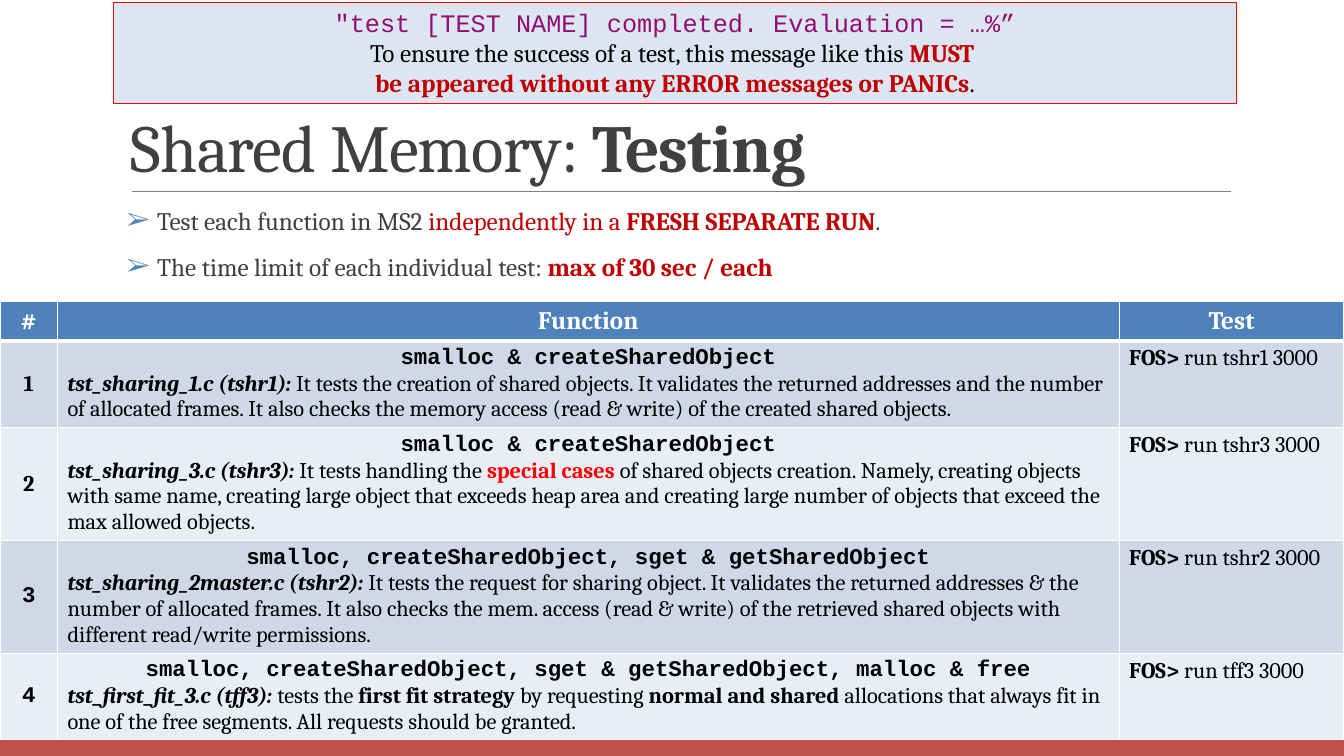
from typing import NamedTuple

from lxml.etree import SubElement
from pptx import Presentation
from pptx.dml.color import RGBColor
from pptx.enum.shapes import MSO_CONNECTOR, MSO_SHAPE
from pptx.enum.text import MSO_ANCHOR, MSO_AUTO_SIZE, PP_ALIGN
from pptx.oxml.ns import qn
from pptx.util import Inches, Pt

COLORS = {
    "black": "000000", "white": "FFFFFF", "gray": "404040", "rule": "808080",
    "blue": "4F81BD", "footer": "C0504D", "dark_red": "C00000", "red": "FF0000",
    "purple": "930D72", "notice": "DCE6F2", "odd_row": "D0D8E8", "even_row": "E9EDF4",
}
SERIF, MONO = "Cambria", "Courier New"


class Span(NamedTuple):
    text: str
    color: str = "black"
    bold: bool = False
    italic: bool = False
    font: str = SERIF


class Test(NamedTuple):
    functions: str
    source: str
    details: list[Span]
    command: str
    height: float
    number_font: str = SERIF


TESTS = [
    Test("smalloc & createSharedObject", "tst_sharing_1.c (tshr1): ",
         [Span("It tests the creation of shared objects. It validates the returned addresses and "
               "the number of allocated frames. It also checks the memory access (read & write) "
               "of the created shared objects.")],
         "run tshr1 3000", 0.86),
    Test("smalloc & createSharedObject", "tst_sharing_3.c (tshr3): ",
         [Span("It tests handling the "),
          Span("special cases ", "red", bold=True),
          Span("of shared objects creation. Namely, creating objects with same name, creating "
               "large object that exceeds heap area and creating large number of objects that "
               "exceed the max allowed objects.")],
         "run tshr3 3000", 1.12),
    Test("smalloc, createSharedObject, sget & getSharedObject",
         "tst_sharing_2master.c (tshr2): ",
         [Span("It tests the request for sharing object. It validates the returned addresses & "
               "the number of allocated frames. It also checks the mem. access (read & write) of "
               "the retrieved shared objects with different read/write permissions.")],
         "run tshr2 3000", 1.12, MONO),
    Test("smalloc, createSharedObject, sget & getSharedObject, malloc & free",
         "tst_first_fit_3.c (tff3): ",
         [Span("tests the "),
          Span("first fit strategy ", bold=True),
          Span("by requesting "),
          Span("normal and shared ", bold=True),
          Span("allocations that always fit in one of the free segments. "
               "All requests should be granted.")],
         "run tff3 3000", 0.86, MONO),
]
BULLETS = [
    [Span("Test each function in MS2 ", "gray"),
     Span("independently in a ", "dark_red"),
     Span("FRESH SEPARATE RUN", "dark_red", bold=True),
     Span(".", "gray")],
    [Span("The time limit of each individual test: ", "gray"),
     Span("max of 30 sec / each", "dark_red", bold=True)],
]
NOTICE = [
    [Span('"test [TEST NAME] completed. Evaluation = …%”', "purple", font=MONO)],
    [Span("To ensure the success of a test, this message like this "),
     Span("MUST ", "dark_red", bold=True),
     Span("\v"),
     Span("be appeared without any ERROR messages or PANICs", "dark_red", bold=True),
     Span(".")],
]
HEADERS = ["#", "Function", "Test"]
COLUMN_WIDTHS = [0.57, 10.53, 2.23]


def rgb(name: str) -> RGBColor:
    return RGBColor.from_string(COLORS[name])


def write(para, spans: list[Span], size: float, align=PP_ALIGN.LEFT) -> None:
    para.alignment = align
    for span in spans:
        if span.text == "\v":
            para.add_line_break()
            continue
        run = para.add_run()
        run.text = span.text
        run.font.size = Pt(size)
        run.font.name = span.font
        run.font.bold = span.bold
        run.font.italic = span.italic
        run.font.color.rgb = rgb(span.color)


def add_bullet(para) -> None:
    properties = para._p.get_or_add_pPr()
    properties.set("marL", str(Inches(0.3)))
    properties.set("indent", str(Inches(-0.3)))
    color = SubElement(properties, qn("a:buClr"))
    SubElement(color, qn("a:srgbClr"), val=COLORS["blue"])
    SubElement(properties, qn("a:buFont"), typeface=SERIF)
    SubElement(properties, qn("a:buChar"), char="➢")


def style_cell(cell, fill: str, bottom: float = 1, top: float = 1) -> None:
    """Draws white borders of the given point widths, then the fill."""
    properties = cell._tc.get_or_add_tcPr()
    for side, width in {"lnL": 1, "lnR": 1, "lnT": top, "lnB": bottom}.items():
        line = SubElement(properties, qn(f"a:{side}"), w=str(Pt(width)))
        solid = SubElement(line, qn("a:solidFill"))
        SubElement(solid, qn("a:srgbClr"), val=COLORS["white"])
    cell.fill.solid()
    cell.fill.fore_color.rgb = rgb(fill)


def add_rectangle(page, left: float, top: float, width: float, height: float, fill: str):
    box = page.shapes.add_shape(MSO_SHAPE.RECTANGLE, Inches(left), Inches(top),
                                Inches(width), Inches(height))
    box.shadow.inherit = False
    box.fill.solid()
    box.fill.fore_color.rgb = rgb(fill)
    box.line.fill.background()
    return box


def add_title(page) -> None:
    box = page.shapes.add_textbox(Inches(1.2), Inches(0.31), Inches(11), Inches(1.59))
    frame = box.text_frame
    frame.word_wrap = True
    frame.vertical_anchor = MSO_ANCHOR.BOTTOM
    para = frame.paragraphs[0]
    para.line_spacing = 0.85
    write(para, [Span("Shared Memory: ", "gray"), Span("Testing", "gray", bold=True)], 48)
    for run in para.runs:
        run.font._element.set("spc", "-50")

    rule = page.shapes.add_connector(MSO_CONNECTOR.STRAIGHT, Inches(1.31), Inches(1.9),
                                     Inches(12.21), Inches(1.9))
    rule.line.color.rgb = rgb("rule")
    rule.line.width = Pt(0.5)
    SubElement(rule._element.spPr, qn("a:effectLst"))


def add_bullets(page) -> None:
    box = page.shapes.add_textbox(Inches(1.26), Inches(1.96), Inches(11), Inches(1.02))
    frame = box.text_frame
    frame.word_wrap = True
    frame.margin_left = frame.margin_right = 0
    frame.margin_top = Inches(0.08)
    for index, spans in enumerate(BULLETS):
        para = frame.add_paragraph() if index else frame.paragraphs[0]
        para.space_before = Pt(9 if index else 0)
        para.space_after = Pt(2)
        add_bullet(para)
        write(para, spans, 18)


def add_tests(page) -> None:
    heights = [0.39] + [test.height for test in TESTS]
    table = page.shapes.add_table(len(heights), len(HEADERS), 0, Inches(2.99),
                                  Inches(sum(COLUMN_WIDTHS)), Inches(sum(heights))).table
    for column, width in zip(table.columns, COLUMN_WIDTHS):
        column.width = Inches(width)
    for row, height in zip(table.rows, heights):
        row.height = Inches(height)
    for cell, header in zip(table.rows[0].cells, HEADERS):
        style_cell(cell, "blue", bottom=3)
        cell.margin_top = cell.margin_bottom = Inches(0.03)
        cell.vertical_anchor = MSO_ANCHOR.MIDDLE
        write(cell.text_frame.paragraphs[0], [Span(header, "white", bold=True)], 18,
              PP_ALIGN.CENTER)
    for index, test in enumerate(TESTS, start=1):
        cells = number, function, command = list(table.rows[index].cells)
        for cell in cells:
            style_cell(cell, "odd_row" if index % 2 else "even_row", top=3 if index == 1 else 1)
        number.vertical_anchor = function.vertical_anchor = MSO_ANCHOR.MIDDLE
        function.margin_top = function.margin_bottom = Inches(0.01)
        write(number.text_frame.paragraphs[0],
              [Span(str(index), bold=True, font=test.number_font)], 16, PP_ALIGN.CENTER)
        write(function.text_frame.paragraphs[0],
              [Span(test.functions, bold=True, font=MONO)], 16, PP_ALIGN.CENTER)
        write(function.text_frame.add_paragraph(),
              [Span(test.source, bold=True, italic=True), *test.details], 16)
        write(command.text_frame.paragraphs[0],
              [Span("FOS>", bold=True), Span(f" {test.command}")], 16)


def add_notice(page) -> None:
    box = add_rectangle(page, 1.13, 0.02, 11.13, 1.01, "notice")
    box.line.color.rgb = rgb("red")
    box.line.width = Pt(0.75)
    frame = box.text_frame
    frame.word_wrap = True
    frame.auto_size = MSO_AUTO_SIZE.SHAPE_TO_FIT_TEXT
    frame.vertical_anchor = MSO_ANCHOR.TOP
    for index, spans in enumerate(NOTICE):
        para = frame.add_paragraph() if index else frame.paragraphs[0]
        write(para, spans, 18, PP_ALIGN.CENTER)


def main() -> None:
    deck = Presentation()
    deck.slide_width, deck.slide_height = Inches(13.33), Inches(7.5)
    page = deck.slides.add_slide(deck.slide_layouts[6])
    add_rectangle(page, 0, 7, 13.33, 0.5, "footer")
    add_title(page)
    add_bullets(page)
    add_tests(page)
    add_notice(page)
    deck.save("out.pptx")


if __name__ == "__main__":
    main()
